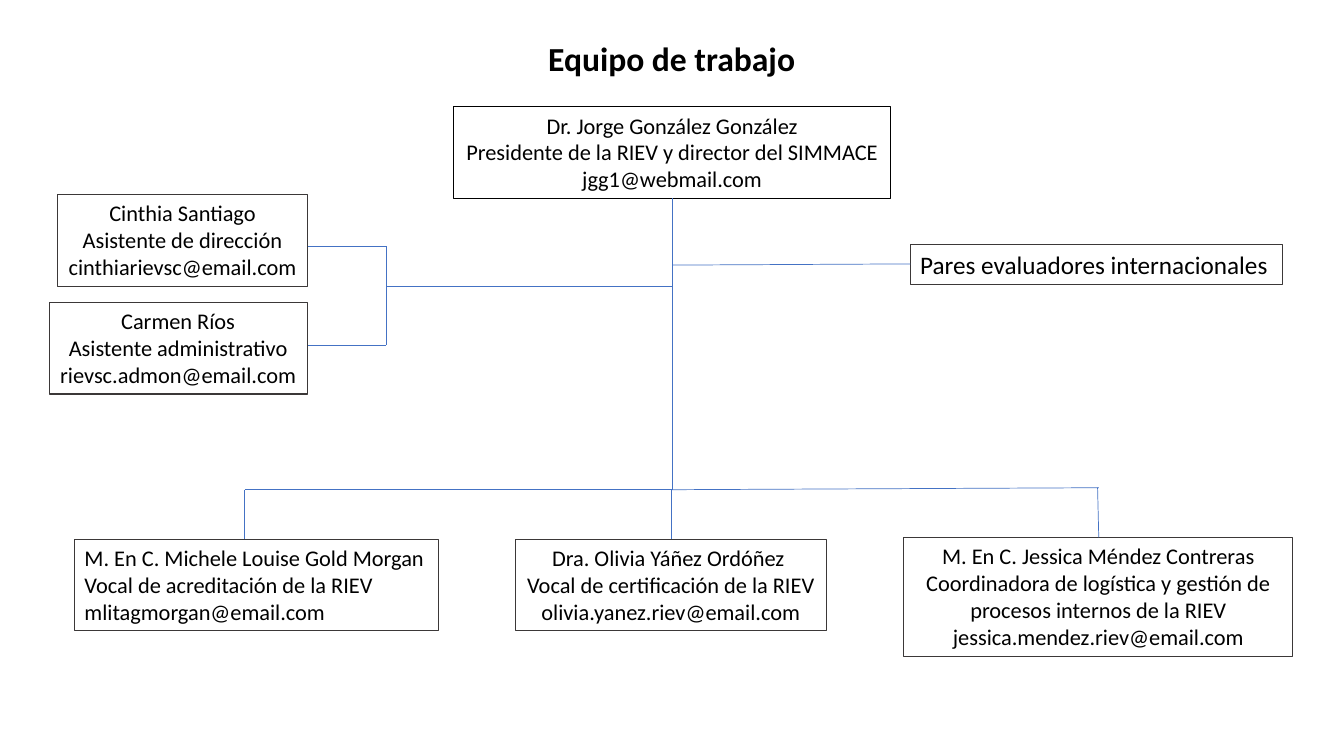
"""Build the organisation chart slide of the work team."""
from dataclasses import dataclass

from lxml.etree import SubElement
from pptx import Presentation
from pptx.dml.color import RGBColor
from pptx.enum.shapes import MSO_CONNECTOR, MSO_SHAPE
from pptx.enum.text import MSO_ANCHOR, MSO_AUTO_SIZE, PP_ALIGN
from pptx.oxml.ns import qn
from pptx.slide import Slide
from pptx.text.text import TextFrame
from pptx.util import Cm, Pt

COLORS = {"text": "000000", "border": "3B3838", "link": "4472C4"}
FONT = "Calibri"


@dataclass(frozen=True)
class Box:
    left: float
    top: float
    width: float
    lines: tuple[str, ...]
    height: float = 2.31
    size: int = 16
    align: PP_ALIGN = PP_ALIGN.CENTER
    border: str = "border"
    wrap: bool = False


@dataclass(frozen=True)
class Link:
    start: tuple[float, float]
    end: tuple[float, float]


TRUNK_X, TRUNK_TOP, TRUNK_BOTTOM = 16.94, 5.0, 12.34
FORK_X, FORK_Y, ASSISTANT_RIGHT = 9.73, 7.21, 7.75
ACCREDITATION_X, CERTIFICATION_X, LOGISTICS_X = 6.17, 16.92, 27.69
MEMBERS_TOP = 13.59
LOGISTICS_TOP, LOGISTICS_BRANCH_Y = 13.54, 12.29
PEERS_LEFT = 22.94

BOXES = (
    Box(11.43, 2.69, 11.02,
        ("Dr. Jorge González González",
         "Presidente de la RIEV y director del SIMMACE",
         "jgg1@webmail.com"), border="text"),
    Box(1.45, 4.9, 6.3,
        ("Cinthia Santiago", "Asistente de dirección",
         "cinthiarievsc@email.com")),
    Box(1.24, 7.62, 6.5,
        ("Carmen Ríos", "Asistente administrativo",
         "rievsc.admon@email.com"), wrap=True),
    Box(PEERS_LEFT, 6.15, 9.37, ("Pares evaluadores internacionales",),
        height=1.02, size=18, align=PP_ALIGN.LEFT),
    Box(1.88, MEMBERS_TOP, 9.17,
        ("M. En C. Michele Louise Gold Morgan",
         "Vocal de acreditación de la RIEV",
         "mlitagmorgan@email.com"), align=PP_ALIGN.LEFT),
    Box(12.98, MEMBERS_TOP, 7.85,
        ("Dra. Olivia Yáñez Ordóñez ", "Vocal de certificación de la RIEV",
         "olivia.yanez.riev@email.com")),
    Box(22.78, LOGISTICS_TOP, 9.8,
        ("M. En C. Jessica Méndez Contreras",
         "Coordinadora de logística y gestión de procesos internos de la RIEV",
         "jessica.mendez.riev@email.com"), height=3.0, wrap=True),
)

LINKS = (
    Link((TRUNK_X, TRUNK_TOP), (TRUNK_X, TRUNK_BOTTOM)),
    Link((TRUNK_X, FORK_Y), (FORK_X, FORK_Y)),
    Link((FORK_X, FORK_Y), (FORK_X, 6.2)),
    Link((FORK_X, 6.22), (ASSISTANT_RIGHT, 6.22)),
    Link((FORK_X, FORK_Y), (FORK_X, 8.69)),
    Link((FORK_X, 8.69), (ASSISTANT_RIGHT, 8.69)),
    Link((TRUNK_X, 6.68), (PEERS_LEFT, 6.65)),
    Link((TRUNK_X, TRUNK_BOTTOM), (ACCREDITATION_X, TRUNK_BOTTOM)),
    Link((ACCREDITATION_X, TRUNK_BOTTOM), (ACCREDITATION_X, MEMBERS_TOP)),
    Link((CERTIFICATION_X, TRUNK_BOTTOM), (CERTIFICATION_X, MEMBERS_TOP)),
    Link((CERTIFICATION_X, TRUNK_BOTTOM), (LOGISTICS_X, LOGISTICS_BRANCH_Y)),
    Link((27.66, LOGISTICS_BRANCH_Y), (LOGISTICS_X, LOGISTICS_TOP)),
)


def color(name: str) -> RGBColor:
    return RGBColor.from_string(COLORS[name])


def write_lines(frame: TextFrame, lines: tuple[str, ...], size: int,
                align: PP_ALIGN, bold: bool = False) -> None:
    frame.text = "\n".join(lines)
    for paragraph in frame.paragraphs:
        paragraph.alignment = align
        paragraph.font.name = FONT
        paragraph.font.size = Pt(size)
        paragraph.font.bold = bold
        paragraph.font.color.rgb = color("text")


def add_title(slide: Slide, text: str) -> None:
    shape = slide.shapes.add_textbox(Cm(4.23), Cm(0), Cm(25.4), Cm(2.11))
    frame = shape.text_frame
    frame.word_wrap = True
    frame.vertical_anchor = MSO_ANCHOR.BOTTOM
    write_lines(frame, (text,), 24, PP_ALIGN.CENTER, bold=True)
    frame.paragraphs[0].line_spacing = 0.9


def add_box(slide: Slide, box: Box) -> None:
    shape = slide.shapes.add_shape(
        MSO_SHAPE.RECTANGLE, Cm(box.left), Cm(box.top),
        Cm(box.width), Cm(box.height))
    shape.shadow.inherit = False
    shape.fill.background()
    shape.line.color.rgb = color(box.border)
    shape.line.width = Pt(0.75)
    frame = shape.text_frame
    frame.word_wrap = box.wrap
    frame.auto_size = MSO_AUTO_SIZE.SHAPE_TO_FIT_TEXT
    frame.vertical_anchor = MSO_ANCHOR.TOP
    write_lines(frame, box.lines, box.size, box.align)


def add_link(slide: Slide, link: Link) -> None:
    connector = slide.shapes.add_connector(
        MSO_CONNECTOR.STRAIGHT, *map(Cm, link.start + link.end))
    connector.line.color.rgb = color("link")
    connector.line.width = Pt(0.5)
    SubElement(connector._element.spPr, qn("a:effectLst"))


def main() -> None:
    presentation = Presentation()
    presentation.slide_width = Cm(33.87)
    presentation.slide_height = Cm(19.05)
    slide = presentation.slides.add_slide(presentation.slide_layouts[6])
    add_title(slide, "Equipo de trabajo")
    for box in BOXES:
        add_box(slide, box)
    for link in LINKS:
        add_link(slide, link)
    presentation.save("out.pptx")


if __name__ == "__main__":
    main()
